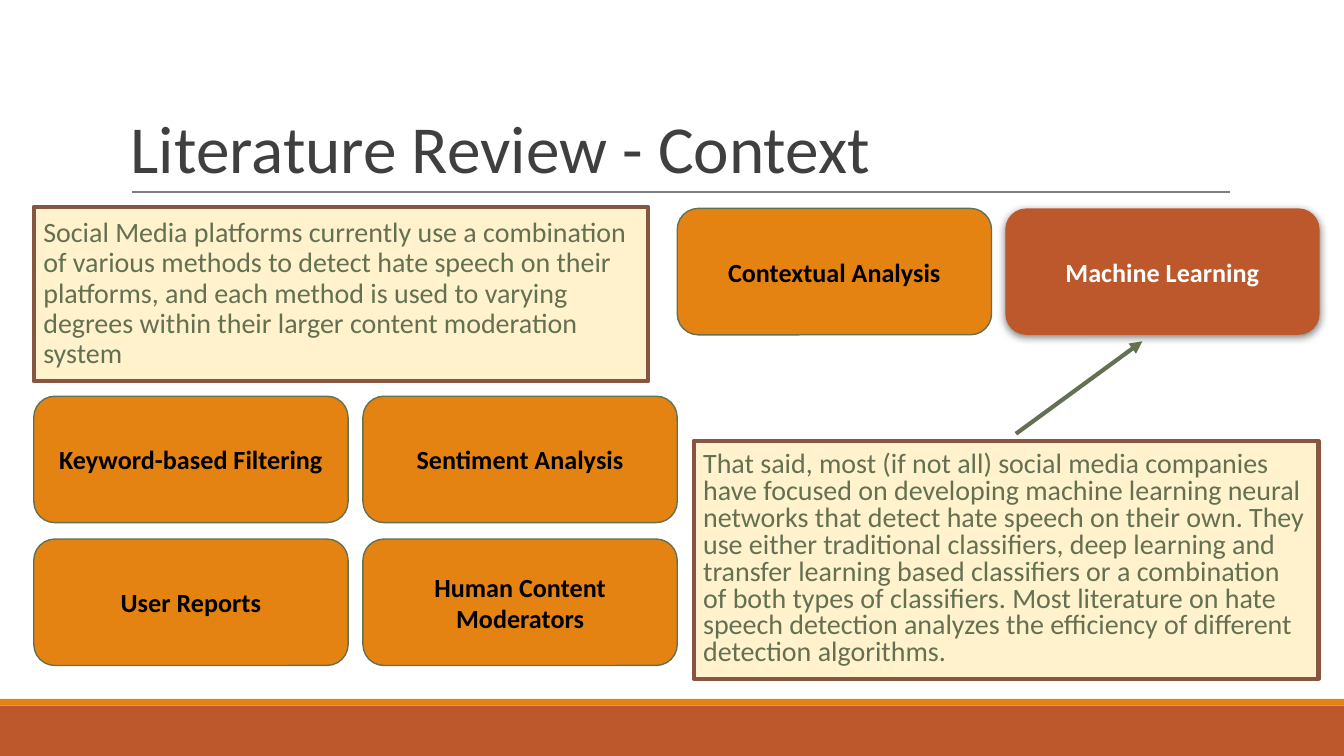
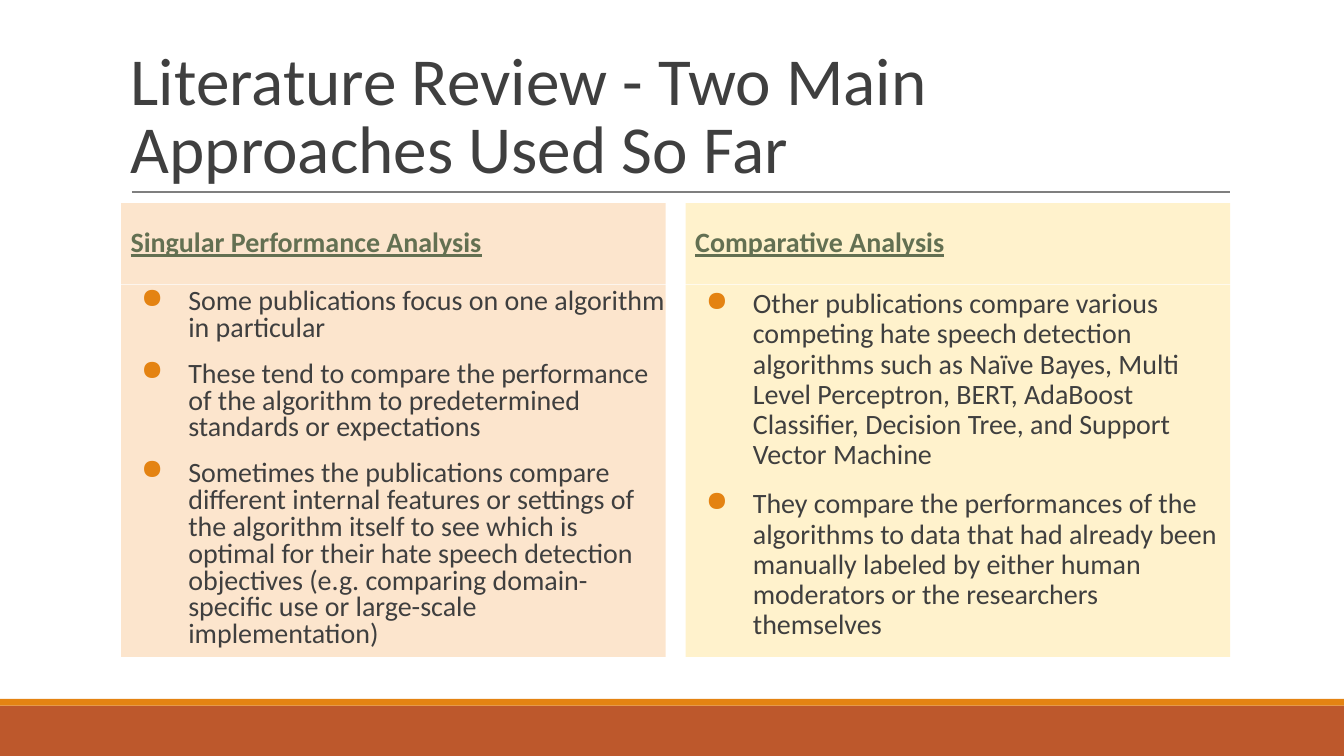
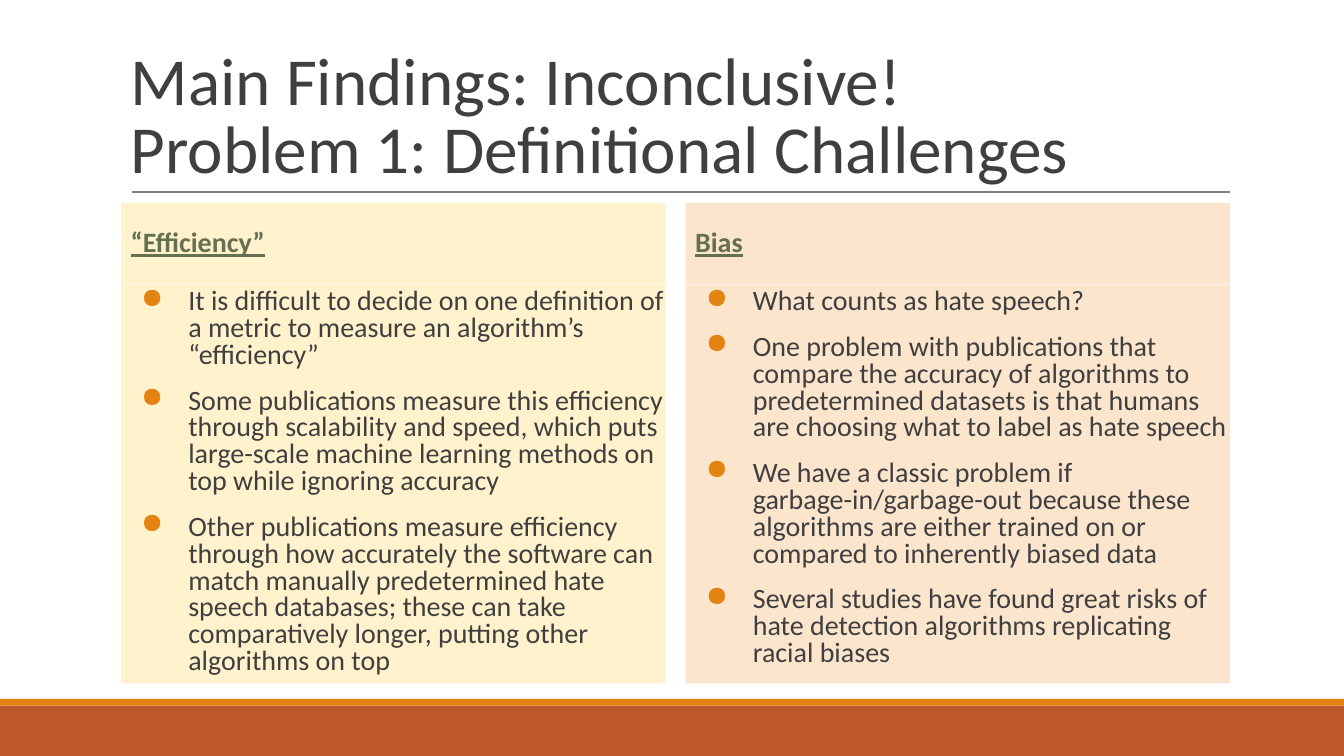
"""Build three slides on hate speech detection literature and its main findings."""
from lxml.etree import SubElement
from pptx import Presentation
from pptx.dml.color import RGBColor
from pptx.enum.shapes import MSO_CONNECTOR, MSO_SHAPE
from pptx.enum.text import MSO_ANCHOR, MSO_AUTO_SIZE, PP_ALIGN
from pptx.oxml.ns import qn
from pptx.util import Cm, Pt

COLORS = {
    "rust": "BD582C", "orange": "E48312", "brown": "865640", "green": "637052",
    "cream": "FFF2CC", "peach": "FCE5CD", "ink": "3F3F3F", "gray": "7F7F7F",
    "black": "000000", "white": "FFFFFF",
}
FONT = "Calibri"
SLIDE_WIDTH, SLIDE_HEIGHT = 25.4, 14.29
TITLE_AREA = (2.29, 0.61, 20.96, 3.02)
BANDS = [((0, 13.34, SLIDE_WIDTH, 0.95), "rust"), ((0, 13.21, SLIDE_WIDTH, 0.13), "orange")]
RULE = ((2.49, 3.63), (23.24, 3.63))
TEXT_INSETS = (0.18, 0.09)
LIST_INSETS = (0, 0.09)
METHOD_INSETS = (0.25, 0.25)

CONTEXT_TITLE = "Literature Review - Context"
STATEMENTS = [
    ((0.64, 3.91, 11.61, 3.3), 0.9,
     "Social Media platforms currently use a combination of various methods to detect hate "
     "speech on their platforms, and each method is used to varying degrees within their "
     "larger content moderation system"),
    ((13.11, 8.33, 11.81, 4.5), 0.8,
     "That said, most (if not all) social media companies have focused on developing machine "
     "learning neural networks that detect hate speech on their own. They use either "
     "traditional classifiers, deep learning and transfer learning based classifiers or a "
     "combination of both types of classifiers. Most literature on hate speech detection "
     "analyzes the efficiency of different detection algorithms."),
]
METHOD_SIZE = (5.94, 2.39)
METHOD_GROUPS = [
    ((0.64, 7.49), (6.22, 2.7), [["Keyword-based Filtering", "Sentiment Analysis"],
                                 ["User Reports", "Human Content Moderators"]]),
    ((12.8, 3.94), (6.2, 0), [["Contextual Analysis", "Machine Learning"]]),
]
HIGHLIGHT = "Machine Learning"
ARROW = ((19.2, 8.2), (21.59, 6.45))

COMPARISONS = [
    {"title": "Literature Review - Two Main Approaches Used So Far", "height": 7.04, "columns": [
        ("Singular Performance Analysis", "peach", 0.8, [
            "Some publications focus on one algorithm in particular",
            "These tend to compare the performance of the algorithm to predetermined standards "
            "or expectations",
            "Sometimes the publications compare different internal features or settings of the "
            "algorithm itself to see which is optimal for their hate speech detection objectives "
            "(e.g. comparing domain-specific use or large-scale implementation)",
        ]),
        ("Comparative Analysis", "cream", 0.9, [
            "Other publications compare various competing hate speech detection algorithms such "
            "as Naïve Bayes, Multi Level Perceptron, BERT, AdaBoost Classifier, Decision Tree, "
            "and Support Vector Machine",
            "They compare the performances of the algorithms to data that had already been "
            "manually labeled by either human moderators or the researchers themselves",
        ]),
    ]},
    {"title": "Main Findings: Inconclusive!\nProblem 1: Definitional Challenges",
     "height": 7.54, "columns": [
        ("“Efficiency”", "cream", 0.8, [
            "It is difficult to decide on one definition of a metric to measure an algorithm’s "
            "“efficiency”",
            "Some publications measure this efficiency through scalability and speed, which puts "
            "large-scale machine learning methods on top while ignoring accuracy",
            "Other publications measure efficiency through how accurately the software can match "
            "manually predetermined hate speech databases; these can take comparatively longer, "
            "putting other algorithms on top",
        ]),
        ("Bias", "peach", 0.8, [
            "What counts as hate speech?",
            "One problem with publications that compare the accuracy of algorithms to "
            "predetermined datasets is that humans are choosing what to label as hate speech",
            "We have a classic problem if garbage-in/garbage-out because these algorithms are "
            "either trained on or compared to inherently biased data",
            "Several studies have found great risks of hate detection algorithms replicating "
            "racial biases",
        ]),
    ]},
]
COLUMN_LEFT, COLUMN_WIDTH, COLUMN_GAP = 2.29, 10.29, 0.38
HEADING_TOP, HEADING_HEIGHT = 3.84, 1.53
LIST_TOP = 5.38


def color(name):
    return RGBColor.from_string(COLORS[name])


def add_box(page, area, fill, line=None, line_width=0.75, kind=MSO_SHAPE.RECTANGLE):
    box = page.shapes.add_shape(kind, *map(Cm, area))
    box.shadow.inherit = False
    box.fill.solid()
    box.fill.fore_color.rgb = color(fill)
    if line:
        box.line.color.rgb = color(line)
        box.line.width = Pt(line_width)
    else:
        box.line.fill.background()
    return box


def write(box, text, size, ink, insets, anchor=MSO_ANCHOR.MIDDLE, align=PP_ALIGN.LEFT,
          spacing=1.0, before=0, after=0, bold=False, underline=False):
    frame = box.text_frame
    frame.text = text
    frame.word_wrap = True
    frame.auto_size = MSO_AUTO_SIZE.NONE
    frame.vertical_anchor = anchor
    frame.margin_left = frame.margin_right = Cm(insets[0])
    frame.margin_top = frame.margin_bottom = Cm(insets[1])
    for para in frame.paragraphs:
        para.alignment = align
        para.line_spacing = spacing
        para.space_before, para.space_after = Pt(before), Pt(after)
        for span in para.runs:
            span.font.name = FONT
            span.font.size = Pt(size)
            span.font.color.rgb = color(ink)
            span.font.bold = bold
            span.font.underline = underline


def add_line(page, ends, ink, width):
    start, end = ends
    line = page.shapes.add_connector(MSO_CONNECTOR.STRAIGHT, *map(Cm, start + end))
    line.line.color.rgb = color(ink)
    line.line.width = Pt(width)
    SubElement(line._element.spPr, qn("a:effectLst"))
    return line


def add_shadow(box):
    effects = box._element.spPr.find(qn("a:effectLst"))
    shadow = SubElement(effects, qn("a:outerShdw"), blurRad=str(Pt(4.5)), dist=str(Pt(1.5)),
                        dir="5400000", algn="bl", rotWithShape="0")
    tint = SubElement(shadow, qn("a:srgbClr"), val=COLORS["black"])
    SubElement(tint, qn("a:alpha"), val="50000")


def add_bullets(frame):
    for para in frame.paragraphs:
        settings = para._p.get_or_add_pPr()
        settings.set("marL", str(Cm(1.27)))
        settings.set("indent", str(Cm(-0.89)))
        tint = SubElement(settings, qn("a:buClr"))
        SubElement(tint, qn("a:srgbClr"), val=COLORS["orange"])
        SubElement(settings, qn("a:buChar"), char="●")


def add_page(deck, title):
    page = deck.slides.add_slide(deck.slide_layouts[5])
    for area, fill in BANDS:
        add_box(page, area, fill)
    add_line(page, RULE, "gray", 0.75)
    heading = page.shapes.title
    heading.left, heading.top, heading.width, heading.height = map(Cm, TITLE_AREA)
    write(heading, title, 36, "ink", TEXT_INSETS, anchor=MSO_ANCHOR.BOTTOM, spacing=0.85)
    return page


def add_method(page, position, name):
    special = name == HIGHLIGHT
    box = add_box(page, position + METHOD_SIZE, "rust" if special else "orange",
                  None if special else "green", kind=MSO_SHAPE.ROUNDED_RECTANGLE)
    write(box, name, 14, "white" if special else "black", METHOD_INSETS,
          align=PP_ALIGN.CENTER, bold=True)
    if special:
        add_shadow(box)


def add_context(deck):
    page = add_page(deck, CONTEXT_TITLE)
    for area, spacing, text in STATEMENTS:
        box = add_box(page, area, "cream", "brown", 2.25)
        write(box, text, 15, "green", TEXT_INSETS, spacing=spacing, before=9, after=2)
    for (left, top), (step_x, step_y), rows in METHOD_GROUPS:
        for row, names in enumerate(rows):
            for column, name in enumerate(names):
                add_method(page, (left + column * step_x, top + row * step_y), name)
    arrow = add_line(page, ARROW, "green", 2.25)
    SubElement(arrow.line._get_or_add_ln(), qn("a:tailEnd"), type="triangle")


def add_comparison(deck, content):
    page = add_page(deck, content["title"])
    for index, (heading, fill, spacing, points) in enumerate(content["columns"]):
        left = COLUMN_LEFT + index * (COLUMN_WIDTH + COLUMN_GAP)
        box = add_box(page, (left, HEADING_TOP, COLUMN_WIDTH, HEADING_HEIGHT), fill)
        write(box, heading, 15, "green", TEXT_INSETS, spacing=0.9, before=9, after=2,
              bold=True, underline=True)
        box = add_box(page, (left, LIST_TOP, COLUMN_WIDTH, content["height"]), fill)
        write(box, "\n".join(points), 15, "ink", LIST_INSETS, anchor=MSO_ANCHOR.TOP,
              spacing=spacing, before=10)
        paragraphs = box.text_frame.paragraphs
        paragraphs[0].space_before = Pt(9)
        paragraphs[-1].space_after = Pt(10)
        add_bullets(box.text_frame)


def main():
    deck = Presentation()
    deck.slide_width, deck.slide_height = Cm(SLIDE_WIDTH), Cm(SLIDE_HEIGHT)
    add_context(deck)
    for content in COMPARISONS:
        add_comparison(deck, content)
    deck.save("out.pptx")


if __name__ == "__main__":
    main()
